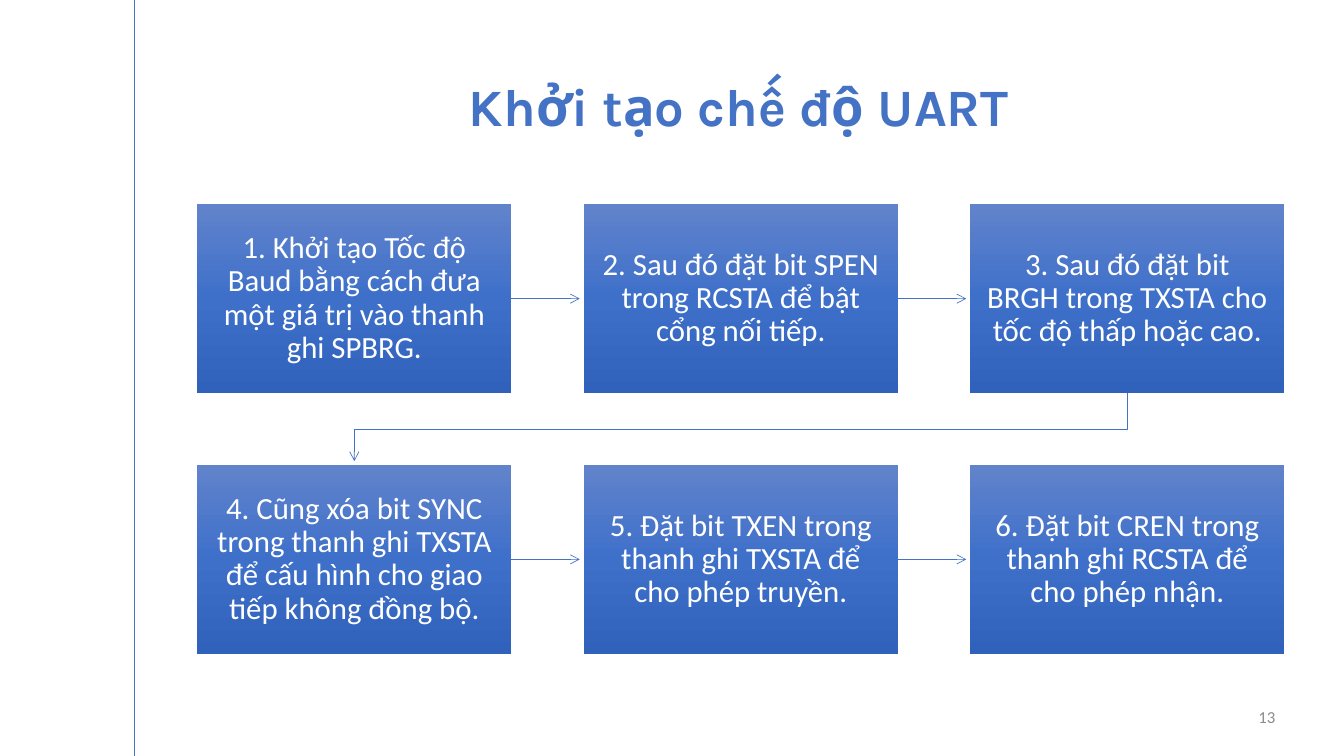
import copy
import pptx
import pptx.util
import pptx.dml.color
import pptx.enum.dml
import pptx.enum.shapes
import pptx.enum.text
import pptx.oxml.ns
import pptx.oxml.xmlchemy

Cm = pptx.util.Cm
Align = pptx.enum.text.PP_ALIGN
Anchor = pptx.enum.text.MSO_ANCHOR
qn = pptx.oxml.ns.qn

THEME = {
    "accent": "4472C4",
    "gradient": [(0, "6183CB"), (0.5, "3E70CA"), (1, "3062BB")],
    "light": "FFFFFF",
    "muted": "8C8C8C",
    "title_font": "Karla",
    "body_font": "Calibri",
    "title_size": 37.5,
    "step_size": 22,
    "number_size": 12,
    "line_width": 0.5,
}

STEPS = [
    "1. Khởi tạo Tốc độ Baud bằng cách đưa một giá trị vào thanh ghi SPBRG.",
    "2. Sau đó đặt bit SPEN trong RCSTA để bật cổng nối tiếp.",
    "3. Sau đó đặt bit BRGH trong TXSTA cho tốc độ thấp hoặc cao.",
    "4. Cũng xóa bit SYNC trong thanh ghi TXSTA để cấu hình cho giao tiếp không đồng bộ.",
    "5. Đặt bit TXEN trong thanh ghi TXSTA để cho phép truyền.",
    "6. Đặt bit CREN trong thanh ghi RCSTA để cho phép nhận.",
]


def rgb(value):
    return pptx.dml.color.RGBColor.from_string(value)


def write_text(shape, text, size, color, font=THEME["body_font"], bold=False,
               align=Align.CENTER, anchor=Anchor.MIDDLE, spacing=1.0, inset=None):
    frame = shape.text_frame
    frame.word_wrap = True
    frame.auto_size = pptx.enum.text.MSO_AUTO_SIZE.NONE
    frame.vertical_anchor = anchor
    if inset is not None:
        frame.margin_left = frame.margin_right = inset
        frame.margin_top = frame.margin_bottom = inset
    para = frame.paragraphs[0]
    para.alignment = align
    para.line_spacing = spacing
    span = para.add_run()
    span.text = text
    span.font.name = font
    span.font.size = pptx.util.Pt(size)
    span.font.bold = bold
    span.font.color.rgb = rgb(color)


deck = pptx.Presentation()
deck.slide_width = Cm(33.87)
deck.slide_height = Cm(19.05)
page = deck.slides.add_slide(deck.slide_layouts[5])
shapes = page.shapes

title = shapes.title
title.left, title.top, title.width, title.height = Cm(3.05), Cm(2.03), Cm(31.14), Cm(1.5)
write_text(title, "Khởi tạo chế độ UART", THEME["title_size"], THEME["accent"],
           font=THEME["title_font"], bold=True, anchor=Anchor.BOTTOM, spacing=0.7)

columns = 3
grid_left, grid_top = Cm(4.97), Cm(5.15)
box_width, box_height = Cm(7.92), Cm(4.75)
column_step, row_step = Cm(9.74), Cm(6.57)
arrow_gap = Cm(0.1)

margin_line = shapes.add_connector(
    pptx.enum.shapes.MSO_CONNECTOR.STRAIGHT, Cm(3.39), 0, Cm(3.39), deck.slide_height)
lines = [margin_line]
arrows = []

for index, step in enumerate(STEPS):
    row, column = divmod(index, columns)
    left = grid_left + column * column_step
    top = grid_top + row * row_step
    box = shapes.add_shape(
        pptx.enum.shapes.MSO_SHAPE.RECTANGLE, left, top, box_width, box_height)
    box.shadow.inherit = False
    box.line.fill.background()
    box.fill.gradient()
    box.fill.gradient_angle = 270
    stop_list = box.element.spPr.find(".//" + qn("a:gsLst"))
    stop_list.append(copy.deepcopy(stop_list[0]))
    for stop, (position, color) in zip(box.fill.gradient_stops, THEME["gradient"]):
        stop.position = position
        stop.color.rgb = rgb(color)
    write_text(box, step, THEME["step_size"], THEME["light"], spacing=0.9, inset=Cm(0.43))

    if column < columns - 1:
        middle = top + box_height // 2
        arrows.append(shapes.add_connector(
            pptx.enum.shapes.MSO_CONNECTOR.STRAIGHT, left + box_width, middle,
            left + column_step - arrow_gap, middle))

first_center = grid_left + box_width // 2
last_center = first_center + (columns - 1) * column_step
row_bottom = grid_top + box_height
next_top = grid_top + row_step
turn = (row_bottom + next_top) // 2
route = shapes.build_freeform(last_center, row_bottom)
route.add_line_segments(
    [(last_center, turn), (first_center, turn), (first_center, next_top - arrow_gap)],
    close=False)
row_return = route.convert_to_shape()
row_return.fill.background()
row_return.shadow.inherit = False
arrows.append(row_return)

for line in lines + arrows:
    line.line.color.rgb = rgb(THEME["accent"])
    line.line.width = pptx.util.Pt(THEME["line_width"])
    properties = line.element.spPr
    if line in arrows:
        tail = properties.find(qn("a:ln")).makeelement(qn("a:tailEnd"), {"type": "arrow"})
        properties.find(qn("a:ln")).append(tail)
    if properties.find(qn("a:effectLst")) is None:
        properties.append(properties.makeelement(qn("a:effectLst"), {}))

number = shapes.add_textbox(Cm(31.27), Cm(17.55), Cm(1.12), Cm(1.02))
write_text(number, "13", THEME["number_size"], THEME["muted"], align=Align.RIGHT)

deck.save("out.pptx")
